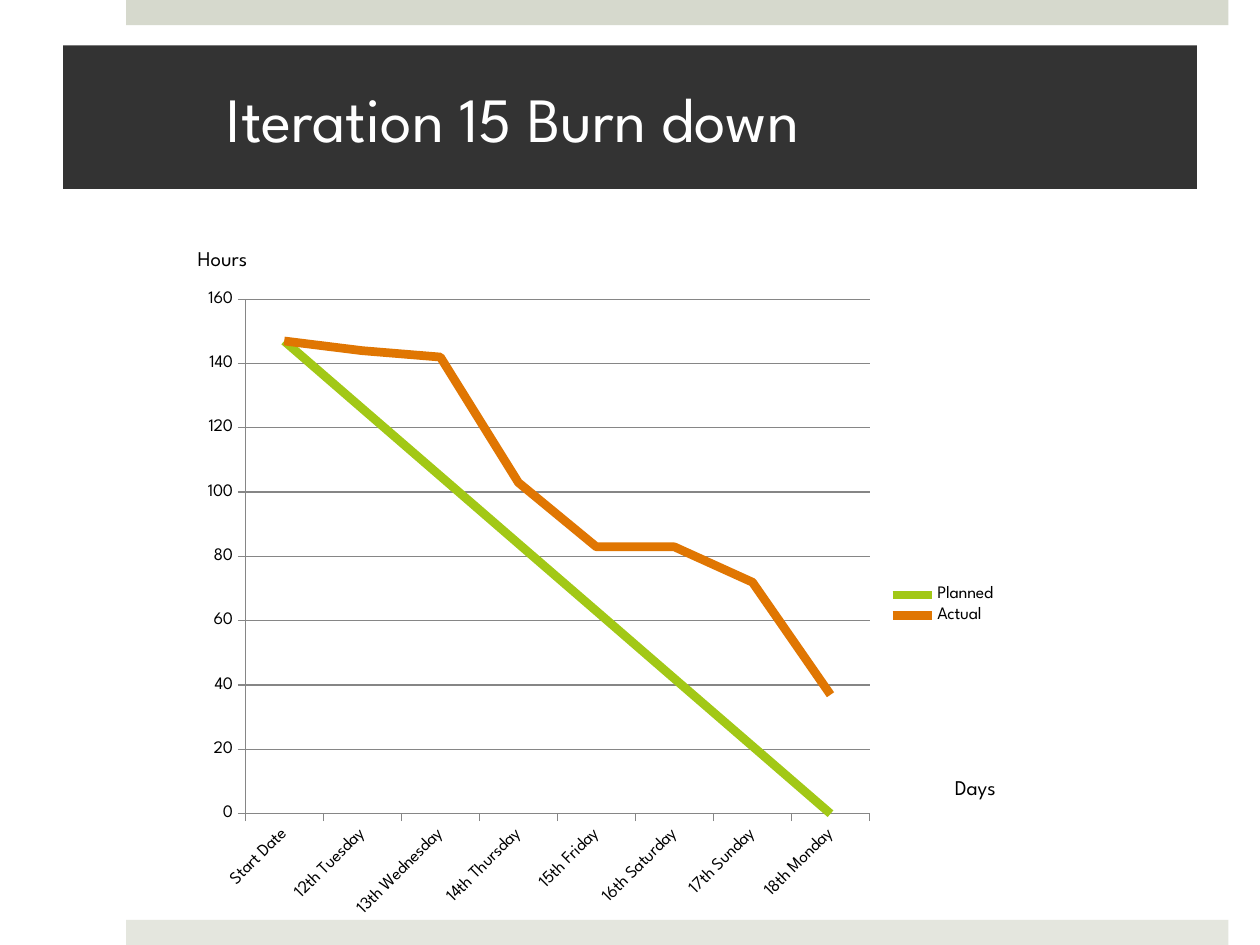
from lxml import etree
from pptx import Presentation
from pptx import util as u
from pptx.chart.data import CategoryChartData
from pptx.dml.color import RGBColor
from pptx.enum import chart as ch, shapes, text
from pptx.oxml import parse_xml
from pptx.oxml.ns import nsdecls

FONT = "League Spartan"


def rgb(value):
    return RGBColor.from_string(value)


def set_font(font, size, color):
    font.name = FONT
    font.size = u.Pt(size)
    font.color.rgb = rgb(color)


prs = Presentation()
prs.slide_width, prs.slide_height = u.Inches(10), u.Inches(7.5)
s = prs.slides.add_slide(prs.slide_layouts[5])

for top, color in [(0, "D6D9CD"), (7.3, "E4E6DE")]:
    sp = s.shapes.add_shape(shapes.MSO_SHAPE.RECTANGLE, u.Inches(1), u.Inches(top),
                            u.Inches(8.75), u.Inches(0.2))
    sp.shadow.inherit = False
    sp.fill.solid()
    sp.fill.fore_color.rgb = rgb(color)
    sp.line.fill.background()

title = s.shapes.title
title.left, title.top = u.Inches(0.5), u.Inches(0.36)
title.width, title.height = u.Inches(9), u.Inches(1.14)
title.fill.solid()
title.fill.fore_color.rgb = rgb("333333")
tf = title.text_frame
tf.margin_left, tf.margin_right = u.Inches(1.3), u.Inches(0.3)
tf.margin_top = tf.margin_bottom = u.Inches(0.05)
tf.vertical_anchor = text.MSO_ANCHOR.MIDDLE
tf.text = "Iteration 15 Burn down"
p = tf.paragraphs[0]
p.alignment = text.PP_ALIGN.LEFT
set_font(p.font, 36, "FFFFFF")

for label, left, top, width in [("Hours", 1.47, 1.9, 0.61), ("Days", 7.48, 6.1, 0.54)]:
    tf = s.shapes.add_textbox(u.Inches(left), u.Inches(top),
                              u.Inches(width), u.Inches(0.3)).text_frame
    tf.word_wrap = False
    tf.auto_size = text.MSO_AUTO_SIZE.SHAPE_TO_FIT_TEXT
    tf.text = label
    set_font(tf.paragraphs[0].font, 12, "000000")

data = CategoryChartData(number_format="General")
data.categories = ["Start Date", "12th Tuesday", "13th Wednesday", "14th Thursday",
                   "15th Friday", "16th Saturday", "17th Sunday", "18th Monday"]
data.add_series("Planned", [147, 126, 105, 84, 63, 42, 21, 0])
data.add_series("Actual", [147, 144, 142, 103, 83, 83, 72, 37])
chart = s.shapes.add_chart(ch.XL_CHART_TYPE.LINE, u.Inches(1.49), u.Inches(2.22),
                           u.Inches(6.52), u.Inches(5.17), data).chart
chart.has_title = False
set_font(chart.font, 10, "000000")
chart.has_legend = True
chart.legend.position = ch.XL_LEGEND_POSITION.RIGHT
chart.legend.include_in_layout = False

for series, color in zip(chart.plots[0].series, ["A2C816", "E07602"]):
    series.smooth = False
    series.marker.style = ch.XL_MARKER_STYLE.NONE
    series.format.line.width = u.Pt(5)
    series.format.line.color.rgb = rgb(color)

cat_axis, val_axis = chart.category_axis, chart.value_axis
val_axis.minimum_scale, val_axis.maximum_scale, val_axis.major_unit = 0, 160, 20
val_axis.has_major_gridlines = True
val_axis.tick_labels.number_format = "0"
val_axis.tick_labels.number_format_is_linked = False
for axis in (cat_axis, val_axis):
    axis.major_tick_mark = ch.XL_TICK_MARK.OUTSIDE
    set_font(axis.tick_labels.font, 10, "000000")
for line in (cat_axis.format.line, val_axis.format.line, val_axis.major_gridlines.format.line):
    line.width = u.Pt(0.75)
    line.color.rgb = rgb("868686")
cat_axis._element.txPr.bodyPr.set("rot", "-2700000")

space = chart._chartSpace
space.chart.addnext(parse_xml(
    f'<c:spPr {nsdecls("c", "a")}><a:noFill/><a:ln><a:noFill/></a:ln></c:spPr>'))
area = space.chart.plotArea
for old in area.findall("c:layout", area.nsmap):
    area.remove(old)
layout = parse_xml(f'<c:layout {nsdecls("c")}><c:manualLayout/></c:layout>')
for tag, val in [("layoutTarget", "inner"), ("xMode", "edge"), ("yMode", "edge"),
                 ("x", "0.07"), ("y", "0.03"), ("w", "0.76"), ("h", "0.79")]:
    etree.SubElement(layout[0], f"{{{layout.nsmap['c']}}}{tag}").set("val", val)
area.insert(0, layout)

prs.save("out.pptx")
